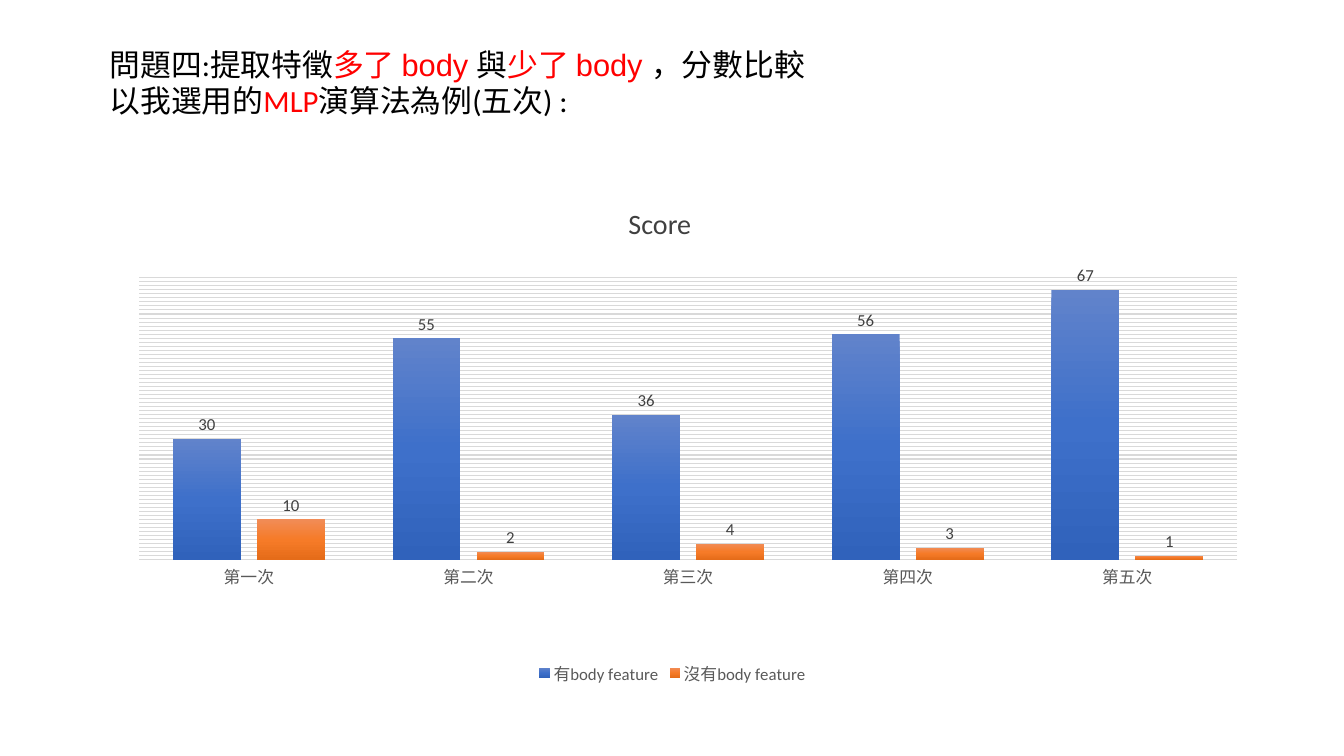
from typing import NamedTuple

from lxml import etree
from pptx import Presentation
from pptx.chart.data import CategoryChartData
from pptx.dml.color import RGBColor
from pptx.enum.chart import XL_CHART_TYPE as ChartType
from pptx.enum.chart import XL_LABEL_POSITION as LabelPos
from pptx.enum.chart import XL_LEGEND_POSITION as LegendPos
from pptx.enum.chart import XL_TICK_LABEL_POSITION as TickLabelPos
from pptx.enum.chart import XL_TICK_MARK as TickMark
from pptx.enum.text import MSO_AUTO_SIZE as AutoSize
from pptx.enum.text import PP_ALIGN as Align
from pptx.oxml import parse_xml
from pptx.oxml.ns import nsdecls, qn
from pptx.util import Inches, Pt

BLACK, RED, DARK, GREY, PALE = "000000", "FF0000", "404040", "595959", "D9D9D9"


class Span(NamedTuple):
    text: str
    color: str = BLACK
    font: str = "Calibri"


class Line(NamedTuple):
    spans: list[Span]
    size: int
    align: Align = Align.LEFT


class Box(NamedTuple):
    left: float
    top: float
    width: float
    height: float


class ScoreSeries(NamedTuple):
    name: str
    values: list[int]
    gradient: list[str]


CATEGORIES = ["第一次", "第二次", "第三次", "第四次", "第五次"]
SERIES = [
    ScoreSeries("有body feature", [30, 55, 36, 56, 67], ["6183CB", "3E70CA", "3062BB"]),
    ScoreSeries("沒有body feature", [10, 2, 4, 3, 1], ["F18C57", "F67B28", "E56C19"]),
]
PLOT_AREA = {"x": 0.04, "y": 0.142, "w": 0.947, "h": 0.588}

HEADING = [
    Line([
        Span("問題四:"),
        Span("提取特徵", font="Arial"),
        Span("多了 body ", RED, "Arial"),
        Span("與", font="Arial"),
        Span("少了 body ", RED, "Arial"),
        Span("，分數比較"),
    ], 22),
    Line([Span("以我選用的"), Span("MLP", RED), Span("演算法為例(五次) :")], 22),
]
CHART_TITLE = [Line([Span("Score", DARK)], 20, Align.CENTER)]


def rgb(color: str) -> RGBColor:
    return RGBColor.from_string(color)


def style_font(font, size: int, color: str) -> None:
    font.name, font.size = "Calibri", Pt(size)
    font.color.rgb = rgb(color)


def add_text(slide, box: Box, lines: list[Line]) -> None:
    tf = slide.shapes.add_textbox(*map(Inches, box)).text_frame
    tf.word_wrap = True
    tf.auto_size = AutoSize.SHAPE_TO_FIT_TEXT
    for i, line in enumerate(lines):
        p = tf.add_paragraph() if i else tf.paragraphs[0]
        p.alignment = line.align
        p.font.size = Pt(line.size)
        for span in line.spans:
            r = p.add_run()
            r.text = span.text
            r.font.name = span.font
            r.font.color.rgb = rgb(span.color)


def fill_gradient(series, colors: list[str]) -> None:
    """Fill the bars from top to bottom with evenly spaced colour stops."""
    step = 100000 // (len(colors) - 1)
    stops = "".join(
        f'<a:gs pos="{i * step}"><a:srgbClr val="{color}"/></a:gs>'
        for i, color in enumerate(colors)
    )
    series._element.get_or_add_spPr().append(parse_xml(
        f'<a:gradFill {nsdecls("a")} rotWithShape="1"><a:gsLst>{stops}</a:gsLst>'
        '<a:lin ang="5400000" scaled="0"/></a:gradFill>'
    ))


def place_plot_area(chart) -> None:
    plot_area = chart._chartSpace.chart.plotArea
    for old in plot_area.findall(qn("c:layout")):
        plot_area.remove(old)
    layout = etree.Element(qn("c:layout"))
    manual = etree.SubElement(layout, qn("c:manualLayout"))
    settings = {"layoutTarget": "inner", "xMode": "edge", "yMode": "edge", **PLOT_AREA}
    for tag, value in settings.items():
        etree.SubElement(manual, qn(f"c:{tag}")).set("val", str(value))
    plot_area.insert(0, layout)


def add_score_chart(slide, box: Box) -> None:
    data = CategoryChartData()
    data.categories = CATEGORIES
    for score in SERIES:
        data.add_series(score.name, score.values)
    chart = slide.shapes.add_chart(
        ChartType.COLUMN_CLUSTERED, *map(Inches, box), data
    ).chart
    chart.has_title = False
    style_font(chart.font, 10, BLACK)
    place_plot_area(chart)

    chart.has_legend = True
    chart.legend.position = LegendPos.BOTTOM
    chart.legend.include_in_layout = False
    style_font(chart.legend.font, 12, GREY)

    cat_axis = chart.category_axis
    cat_axis.major_tick_mark = cat_axis.minor_tick_mark = TickMark.NONE
    cat_axis.tick_label_position = TickLabelPos.NEXT_TO_AXIS
    style_font(cat_axis.tick_labels.font, 12, GREY)
    cat_axis.format.line.color.rgb = rgb(PALE)
    cat_axis.format.line.width = Pt(1)

    val_axis = chart.value_axis
    val_axis.visible = False
    val_axis.minimum_scale, val_axis.maximum_scale, val_axis.major_unit = 0, 70, 1
    val_axis.has_major_gridlines = True
    grid = val_axis.major_gridlines.format.line
    grid.color.rgb = rgb(PALE)
    grid.width = Pt(0.75)

    plot = chart.plots[0]
    plot.gap_width, plot.overlap, plot.vary_by_categories = 100, -24, False
    for series, score in zip(plot.series, SERIES):
        fill_gradient(series, score.gradient)
        labels = series.data_labels
        labels.show_value = True
        labels.position = LabelPos.OUTSIDE_END
        style_font(labels.font, 12, DARK)


def main() -> None:
    prs = Presentation()
    prs.slide_width, prs.slide_height = Inches(13.33), Inches(7.5)
    s = prs.slides.add_slide(prs.slide_layouts[6])
    add_score_chart(s, Box(0.92, 2.08, 11.5, 4.76))
    add_text(s, Box(6.01, 2, 1.07, 0.44), CHART_TITLE)
    add_text(s, Box(0.99, 0.4, 9.4, 0.84), HEADING)
    prs.save("out.pptx")


if __name__ == "__main__":
    main()
